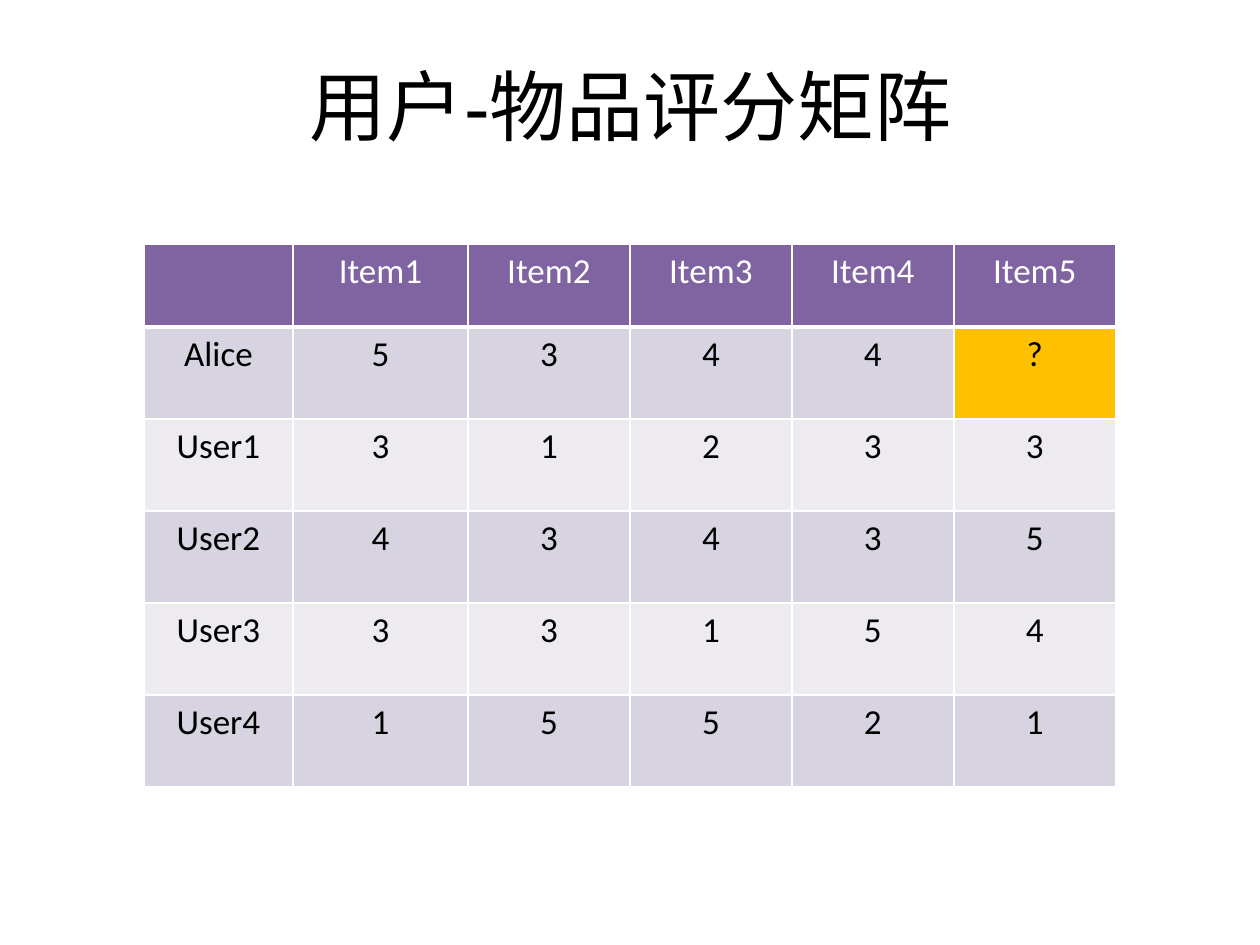
import dataclasses

import pptx
import pptx.dml.color
import pptx.enum.text
import pptx.oxml
import pptx.oxml.ns
import pptx.util

SCALE = 914400 / 126
RATINGS = [
    ["", "Item1", "Item2", "Item3", "Item4", "Item5"],
    ["Alice", "5", "3", "4", "4", "?"],
    ["User1", "3", "1", "2", "3", "3"],
    ["User2", "4", "3", "4", "3", "5"],
    ["User3", "3", "3", "1", "5", "4"],
    ["User4", "1", "5", "5", "2", "1"],
]
WIDTHS = [149, 175] + [162] * 4
HEIGHTS = [83] + [92] * 5


@dataclasses.dataclass(frozen=True)
class Theme:
    ink: str = "000000"
    white: str = "FFFFFF"
    head: str = "8064A2"
    bands: tuple = ("EDEAF0", "D8D3E0")
    mark: str = "FFC000"
    title_font: str = "Arial"
    cell_font: str = "Calibri"
    title_size: int = 44
    cell_size: int = 20


def px(num):
    return pptx.util.Emu(round(num * SCALE))


def color(code):
    return pptx.dml.color.RGBColor.from_string(code)


class Deck:
    def __init__(self, theme):
        self.theme = theme
        self.file = pptx.Presentation()
        self.file.slide_width, self.file.slide_height = px(1260), px(945)
        self.slide = self.file.slides.add_slide(self.file.slide_layouts[5])

    def style(self, par, font, size, code):
        par.alignment = pptx.enum.text.PP_ALIGN.CENTER
        for run in par.runs:
            run.font.name = font
            run.font.size = pptx.util.Pt(size)
            run.font.bold = False
            run.font.color.rgb = color(code)

    def title(self, text, left, top, width, height):
        box = self.slide.shapes.title
        box.left, box.top = px(left), px(top)
        box.width, box.height = px(width), px(height)
        frame = box.text_frame
        frame.text = text
        frame.vertical_anchor = pptx.enum.text.MSO_ANCHOR.MIDDLE
        self.style(frame.paragraphs[0], self.theme.title_font,
                   self.theme.title_size, self.theme.ink)

    def border(self, cell, base):
        """Draw white cell edges, with the bottom one base points wide."""
        props = cell._tc.get_or_add_tcPr()
        for side, wide in zip("LRTB", (1, 1, 1, base)):
            props.append(pptx.oxml.parse_xml(
                f'<a:ln{side} {pptx.oxml.ns.nsdecls("a")} w="{pptx.util.Pt(wide)}">'
                f'<a:solidFill><a:srgbClr val="{self.theme.white}"/></a:solidFill>'
                f'</a:ln{side}>'))

    def cell(self, cell, text, row):
        theme = self.theme
        head = row == 0
        fill = theme.head if head else theme.bands[row % 2]
        if text == "?":
            fill = theme.mark
        self.border(cell, 3 if head else 1)
        cell.fill.solid()
        cell.fill.fore_color.rgb = color(fill)
        cell.text_frame.text = text
        self.style(cell.text_frame.paragraphs[0], theme.cell_font,
                   theme.cell_size, theme.white if head else theme.ink)

    def table(self, rows, left, top, widths, heights):
        frame = self.slide.shapes.add_table(
            len(rows), len(widths), px(left), px(top),
            px(sum(widths)), px(sum(heights)))
        grid = frame.table
        for col, width in zip(grid.columns, widths):
            col.width = px(width)
        for row, height in zip(grid.rows, heights):
            row.height = px(height)
        for r, line in enumerate(rows):
            for c, text in enumerate(line):
                self.cell(grid.cell(r, c), text, r)


def main():
    deck = Deck(Theme())
    deck.title("用户-物品评分矩阵", 64, 26, 1134, 158)
    deck.table(RATINGS, 144, 244, WIDTHS, HEIGHTS)
    deck.file.save("out.pptx")


if __name__ == "__main__":
    main()
